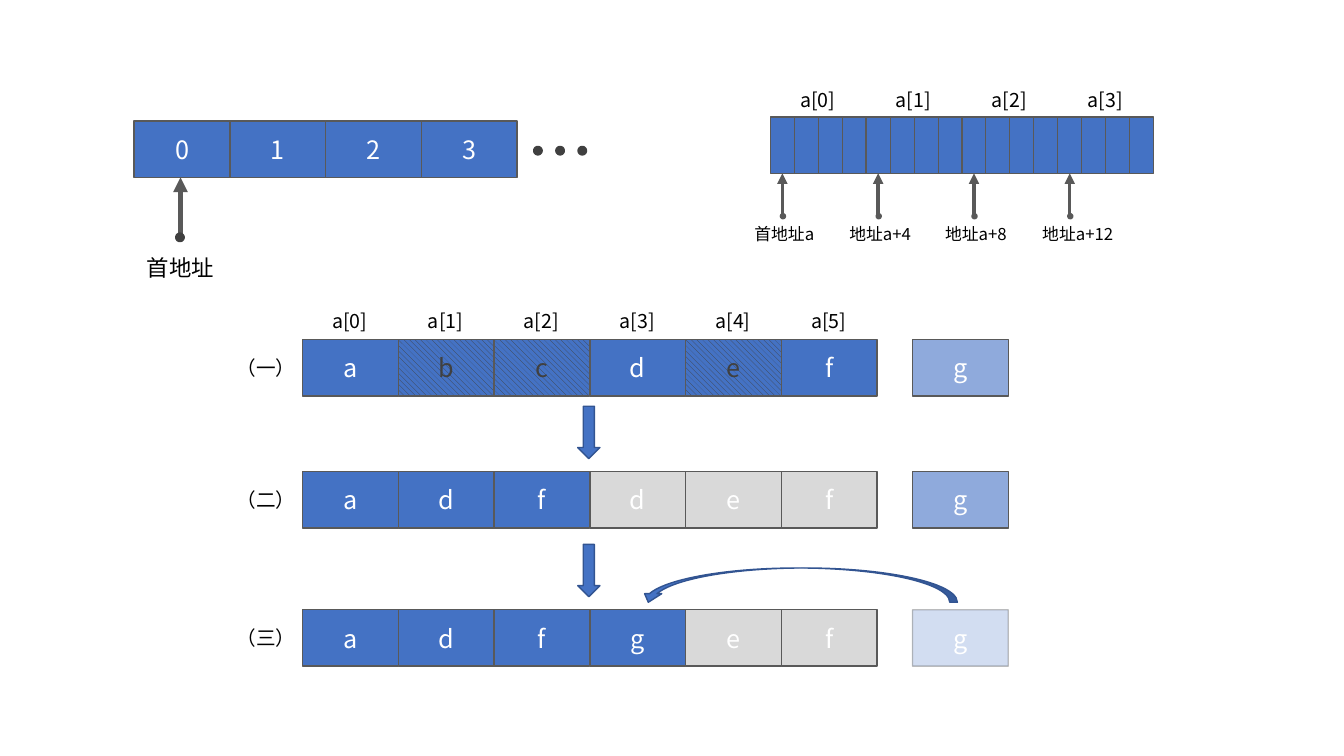
import pptx
import pptx.util
import pptx.dml.color
import pptx.enum.dml
import pptx.enum.shapes
import pptx.enum.text
import pptx.oxml.ns
from lxml import etree

Inches = pptx.util.Inches
SHAPE = pptx.enum.shapes.MSO_SHAPE
COLORS = {
    "blue": "4472C4",
    "pale_blue": "8FAADC",
    "edge_blue": "325491",
    "light_gray": "D9D9D9",
    "gray": "595959",
    "dark_gray": "404040",
    "white": "FFFFFF",
    "black": "000000",
}
STEP = 0.95
HEIGHT = 0.56
LABEL_WIDTH = 1.04


def color(name):
    return pptx.dml.color.RGBColor.from_string(COLORS[name])


def add_element(parent, tag, **attributes):
    return etree.SubElement(parent, pptx.oxml.ns.qn(tag), attributes)


class ArrayDiagram:
    """Draws the cells, labels and arrows of array diagrams on one slide."""

    font = "Noto Sans CJK SC"

    def __init__(self, slide):
        self.slide = slide
        self.shapes = slide.shapes

    def start_group(self):
        self.shapes = self.slide.shapes.add_group_shape().shapes

    def end_group(self):
        self.shapes = self.slide.shapes

    def fill_text(self, shape, text, size, text_color, frame_format):
        for name, value in frame_format.items():
            setattr(shape.text_frame, name, value)
        paragraph = shape.text_frame.paragraphs[0]
        paragraph.alignment = pptx.enum.text.PP_ALIGN.CENTER
        run = paragraph.add_run()
        run.text = text
        for name, value in {"name": self.font, "size": pptx.util.Pt(size)}.items():
            setattr(run.font, name, value)
        run.font.color.rgb = color(text_color)
        add_element(run.font._element, "a:ea", typeface=self.font)

    def block(self, kind, left, top, width, height, fill="blue", line="gray", weight=1, rotation=0):
        shape = self.shapes.add_shape(kind, Inches(left), Inches(top), Inches(width), Inches(height))
        shape.shadow.inherit = False
        shape.rotation = rotation
        shape.fill.solid()
        shape.fill.fore_color.rgb = color(fill)
        shape.line.color.rgb = color(line)
        shape.line.width = pptx.util.Pt(weight)
        return shape

    def cell(self, left, top, text="", fill="blue", text_color="white"):
        shape = self.block(SHAPE.RECTANGLE, left, top, STEP, HEIGHT, fill)
        if text:
            self.fill_text(shape, text, 18, text_color, {"vertical_anchor": pptx.enum.text.MSO_ANCHOR.MIDDLE})
        return shape

    def hatched_cell(self, left, top, text):
        fill = self.cell(left, top, text, text_color="dark_gray").fill
        fill.patterned()
        fill.pattern = pptx.enum.dml.MSO_PATTERN.WIDE_DOWNWARD_DIAGONAL
        fill.fore_color.rgb = color("dark_gray")
        fill.back_color.rgb = color("blue")

    def faded_cell(self, left, top, text):
        shape = self.cell(left, top, text, "pale_blue")
        for format_part, alpha in ((shape.fill, "40000"), (shape.line.fill, "39000")):
            add_element(format_part.fore_color._xFill.find(pptx.oxml.ns.qn("a:srgbClr")), "a:alpha", val=alpha)

    def label(self, left, top, text, size=14, width=LABEL_WIDTH):
        shape = self.shapes.add_textbox(Inches(left), Inches(top), Inches(width), Inches(size / 50 + 0.06))
        self.fill_text(shape, text, size, "black", {
            "word_wrap": True,
            "auto_size": pptx.enum.text.MSO_AUTO_SIZE.SHAPE_TO_FIT_TEXT,
        })

    def line(self, x, start, end, weight, arrow=False):
        connector = self.shapes.add_connector(
            pptx.enum.shapes.MSO_CONNECTOR.STRAIGHT, Inches(x), Inches(start), Inches(x), Inches(end))
        connector.line.color.rgb = color("gray")
        connector.line.width = pptx.util.Pt(weight)
        if arrow:
            add_element(connector.line._get_or_add_ln(), "a:tailEnd", type="triangle")
        add_element(connector._element.spPr, "a:effectLst")

    def dot(self, left, top, fill="dark_gray", weight=3.5):
        self.block(SHAPE.OVAL, left, top, 0.05, 0.05, fill, fill, weight)

    def index_labels(self, left, top, count):
        for index in range(count):
            self.label(left + index * STEP - 0.05, top, f"a[{index}]")


def draw_start_address(diagram):
    diagram.start_group()
    for index in range(4):
        diagram.cell(1.33 + index * STEP, 1.2, str(index))
    diagram.line(1.79, 2.35, 1.76, 3.5, arrow=True)
    diagram.dot(1.76, 2.33)
    diagram.label(1.27, 2.47, "首地址", 16)
    diagram.end_group()
    for index in range(3):
        diagram.dot(5.31 + index * 0.22, 1.47)


def draw_byte_addresses(diagram):
    left, top = 7.64, 1.16
    addresses = ("首地址a", "地址a+4", "地址a+8", "地址a+12")
    diagram.start_group()
    diagram.index_labels(left, 0.82, 4)
    for index, address in enumerate(addresses):
        x = left + index * STEP
        diagram.cell(x, top)
        for quarter in range(1, 4):
            diagram.line(x + quarter * STEP / 4, top, top + HEIGHT, 0.5)
        diagram.label(x - 0.38, 2.17, address, 12, 1.04 if index < 3 else 1.16)
        diagram.line(x + 0.12, 2.13, 1.72, 2.5, arrow=True)
        diagram.dot(x + 0.1, 2.12, "gray", 1)
    diagram.end_group()


def draw_deletion_steps(diagram):
    left, extra = 3, 9.05
    steps = (
        ("（一）", 3.37, "abcdef", "bce", 6, diagram.cell),
        ("（二）", 4.68, "adfdef", "", 3, diagram.cell),
        ("（三）", 6.05, "adfgef", "", 4, diagram.faded_cell),
    )
    diagram.start_group()
    diagram.index_labels(left, 3.02, 6)
    for name, top, letters, hatched, used, draw_extra in steps:
        diagram.label(2.12, top + 0.11, name)
        for index, letter in enumerate(letters):
            x = left + index * STEP
            if letter in hatched:
                diagram.hatched_cell(x, top, letter)
            else:
                diagram.cell(x, top, letter, "blue" if index < used else "light_gray")
        draw_extra(extra, top, "g", **({"fill": "pale_blue"} if draw_extra == diagram.cell else {}))
    for top in (4.03, 5.4):
        diagram.block(SHAPE.DOWN_ARROW, 5.73, top, 0.22, 0.52, line="edge_blue")
    arrow = diagram.block(SHAPE.CURVED_RIGHT_ARROW, 7.75, 4.23, 0.34, 3.15, line="edge_blue", rotation=90)
    for index, value in enumerate((0.22, 0.5, 0.25)):
        arrow.adjustments[index] = value
    diagram.end_group()


def main():
    presentation = pptx.Presentation()
    presentation.slide_width = Inches(13.33)
    presentation.slide_height = Inches(7.5)
    diagram = ArrayDiagram(presentation.slides.add_slide(presentation.slide_layouts[6]))
    draw_start_address(diagram)
    draw_byte_addresses(diagram)
    draw_deletion_steps(diagram)
    presentation.save("out.pptx")


if __name__ == "__main__":
    main()
